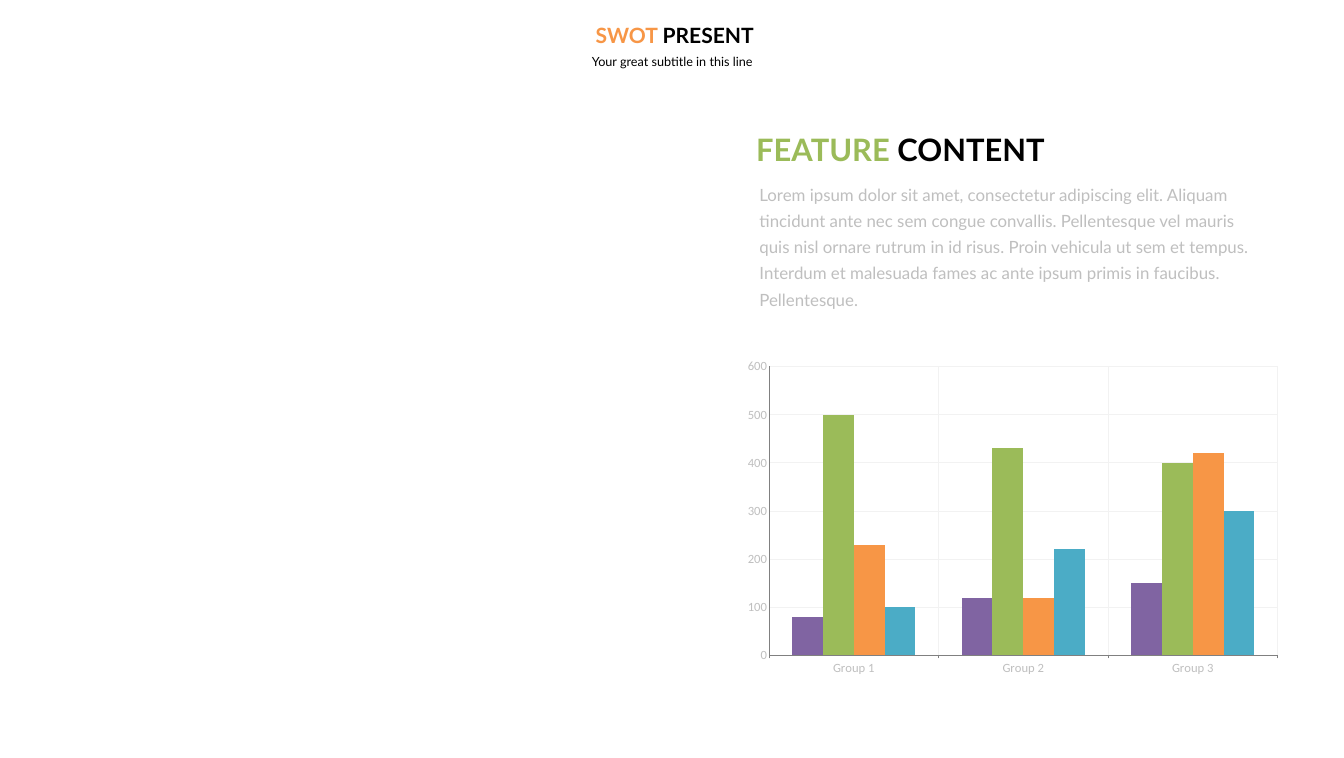
from lxml.etree import SubElement
from pptx import Presentation
from pptx.chart.data import CategoryChartData
from pptx.dml.color import RGBColor
from pptx.enum.chart import XL_CHART_TYPE as ChartType, XL_TICK_MARK as TickMark
from pptx.enum.text import MSO_ANCHOR as Anchor, MSO_AUTO_SIZE as AutoSize, PP_ALIGN as Align
from pptx.oxml.ns import qn
from pptx.util import Inches, Pt

COLORS = {
    "black": "000000", "gray": "BFBFBF", "axis": "808080", "grid": "F2F2F2",
    "purple": "8064A2", "green": "9BBB59", "orange": "F79646", "blue": "4BACC6",
}
TITLE = [("SWOT ", "orange"), ("PRESENT", "black")]
SUBTITLE = [("Your great subtitle in this line", "black")]
HEADING = [("FEATURE ", "green"), ("CONTENT", "black")]
BODY = [(
    "Lorem ipsum dolor sit amet, consectetur adipiscing elit. Aliquam tincidunt ante "
    "nec sem congue convallis. Pellentesque vel mauris quis nisl ornare rutrum in id "
    "risus. Proin vehicula ut sem et tempus. Interdum et malesuada fames ac ante ipsum "
    "primis in faucibus. Pellentesque.", "gray")]
GROUPS = ["Group 1", "Group 2", "Group 3"]
SERIES = [
    ("Series 1", "purple", (80, 120, 150)),
    ("Series 2", "green", (500, 430, 400)),
    ("Series 3", "orange", (230, 120, 420)),
    ("Series 4", "blue", (100, 220, 300)),
]
PERCENT_BOXES = {
    "title": (31.2, 2.27, 38.01, 4.73),
    "subtitle": (34.66, 6.33, 30.71, 3.67),
    "heading": (55.9, 16.93, 28.27, 5.6),
    "body": (55.49, 22.53, 39.81, 19.27),
    "chart": (54.7, 47.33, 41.35, 43.2),
}
PLOT_PERCENTS = {"x": 6.1, "y": 2, "w": 91.5, "h": 88.6}

presentation = Presentation()
presentation.slide_width, presentation.slide_height = Inches(26.6), Inches(15)
slide = presentation.slides.add_slide(presentation.slide_layouts[5])


def color(name):
    return RGBColor.from_string(COLORS[name])


def place(name):
    sizes = (presentation.slide_width, presentation.slide_height) * 2
    return [round(size * share / 100) for size, share in zip(sizes, PERCENT_BOXES[name])]


def write(shape, pieces, size, bold=False, inset=0.1, align=Align.LEFT,
          anchor=Anchor.TOP, spacing=1.0):
    frame = shape.text_frame
    frame.word_wrap = True
    frame.auto_size = AutoSize.SHAPE_TO_FIT_TEXT
    frame.vertical_anchor = anchor
    frame.margin_left = frame.margin_right = Inches(inset)
    frame.margin_top = frame.margin_bottom = Inches(inset / 2)
    paragraph = frame.paragraphs[0]
    paragraph.alignment = align
    paragraph.line_spacing = spacing
    for text, color_name in pieces:
        run = paragraph.add_run()
        run.text = text
        run.font.name = "Lato"
        run.font.size = Pt(size)
        run.font.bold = bold
        run.font.color.rgb = color(color_name)


def add_text(name, pieces, size, **options):
    write(slide.shapes.add_textbox(*place(name)), pieces, size, **options)


def style_axis(axis, tick_mark):
    axis.has_major_gridlines = True
    gridline = axis.major_gridlines.format.line
    gridline.color.rgb = color("grid")
    gridline.width = Pt(0.75)
    axis.format.line.color.rgb = color("axis")
    axis.major_tick_mark = tick_mark
    axis.minor_tick_mark = TickMark.NONE
    axis.tick_labels.font.size = Pt(18)
    axis.tick_labels.font.name = "Calibri"
    axis.tick_labels.font.color.rgb = color("gray")


def set_plot_area(chart):
    plot_area = chart.plots[0]._element.getparent()
    layout = plot_area.find(qn("c:layout"))
    if layout is None:
        layout = SubElement(plot_area, qn("c:layout"))
        plot_area.insert(0, layout)
    manual = SubElement(layout, qn("c:manualLayout"))
    shares = {tag: percent / 100 for tag, percent in PLOT_PERCENTS.items()}
    settings = {"layoutTarget": "inner", "xMode": "edge", "yMode": "edge", **shares}
    for tag, value in settings.items():
        SubElement(manual, qn(f"c:{tag}")).set("val", str(value))


def add_group_chart():
    data = CategoryChartData()
    data.categories = GROUPS
    for name, _, values in SERIES:
        data.add_series(name, values)
    chart = slide.shapes.add_chart(ChartType.COLUMN_CLUSTERED, *place("chart"), data).chart
    chart.has_legend = False
    chart.has_title = False
    chart.font.name = "Calibri"
    chart.font.size = Pt(18)
    chart.font.color.rgb = color("axis")
    plot = chart.plots[0]
    plot.gap_width = 150
    plot.overlap = 0
    plot.vary_by_categories = False
    for series, (_, color_name, _) in zip(plot.series, SERIES):
        series.format.fill.solid()
        series.format.fill.fore_color.rgb = color(color_name)
    style_axis(chart.category_axis, TickMark.OUTSIDE)
    style_axis(chart.value_axis, TickMark.NONE)
    chart.value_axis.minimum_scale = 0
    chart.value_axis.maximum_scale = 600
    chart.value_axis.major_unit = 100
    set_plot_area(chart)


title = slide.shapes.title
title.left, title.top, title.width, title.height = place("title")
write(title, TITLE, 30, bold=True, inset=0.2, align=Align.CENTER)
add_text("subtitle", SUBTITLE, 18, inset=0.24, align=Align.CENTER)
add_group_chart()
add_text("body", BODY, 24, inset=0.27, anchor=Anchor.MIDDLE, spacing=1.3)
add_text("heading", HEADING, 44, bold=True)

presentation.save("out.pptx")
